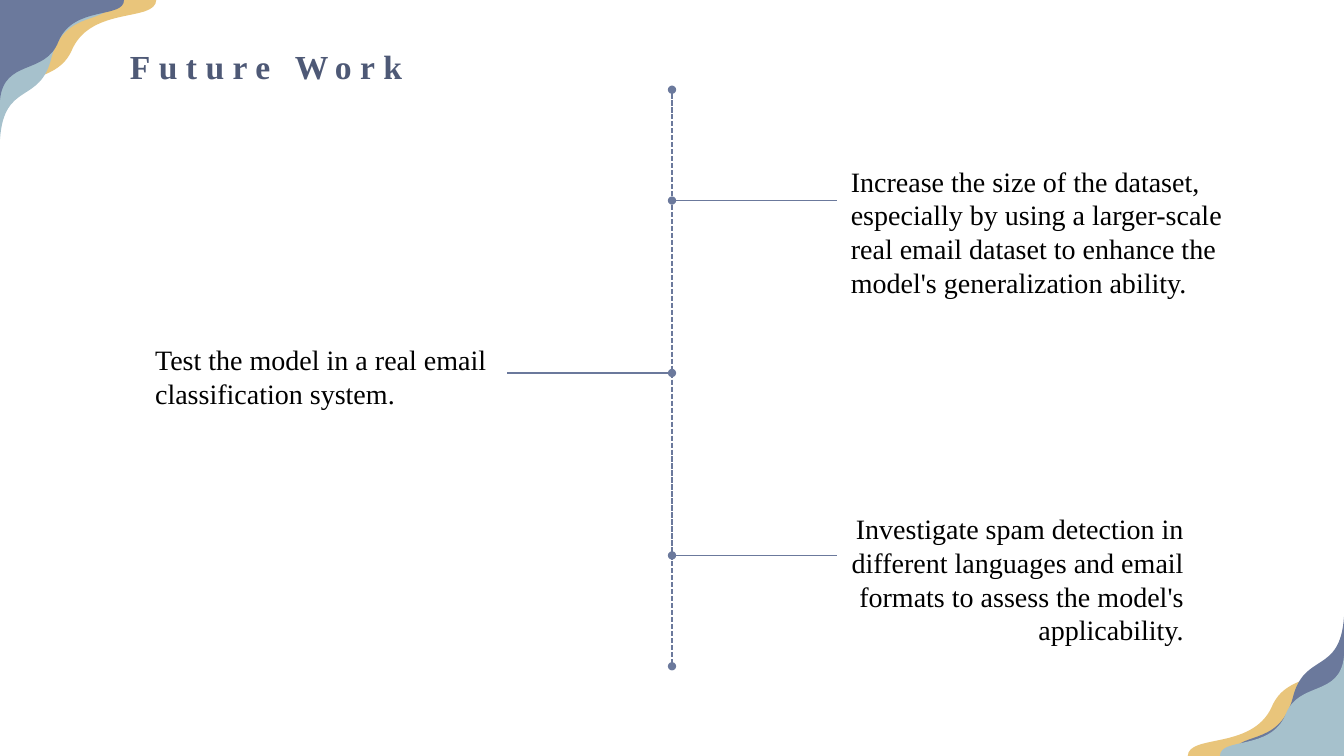
import dataclasses
import typing

import lxml.etree
import pptx
import pptx.dml.color
import pptx.enum.dml
import pptx.enum.shapes
import pptx.enum.text
import pptx.oxml.ns
import pptx.util

Inches = pptx.util.Inches
qn = pptx.oxml.ns.qn
Align = pptx.enum.text.PP_ALIGN
Point = tuple[float, float]

WIDTH, HEIGHT = 13.33, 7.5
AXIS = WIDTH / 2
REACH = 1.64
FONT = "Times New Roman"
SLATE, MIST, SAND = "6B799C", "A6C1CC", "E9C57B"
INK, BLACK = "4E5976", "000000"


@dataclasses.dataclass
class Line:
    start: Point
    end: Point
    dashed: bool = False
    ends: tuple[str, ...] = ("a:headEnd",)


@dataclasses.dataclass
class Label:
    text: str
    box: tuple[float, float, float, float]
    size: int = 20
    color: str = BLACK
    bold: bool = False
    align: typing.Any = Align.LEFT
    gap: int = 0


@dataclasses.dataclass
class Wave:
    waist: Point
    left: tuple[Point, Point, Point]
    right: tuple[Point, Point, Point]


LINES = [
    Line((AXIS, 0.89), (AXIS, 6.61), True, ("a:headEnd", "a:tailEnd")),
    Line((AXIS, 1.99), (AXIS + REACH, 1.99)),
    Line((AXIS, 3.7), (AXIS - REACH, 3.7)),
    Line((AXIS, 5.51), (AXIS + REACH, 5.51)),
]

LABELS = [
    Label("Increase the size of the dataset, especially by using a larger-scale "
          "real email dataset to enhance the model's generalization ability.",
          (8.34, 1.58, 4.22, 1.45)),
    Label("Test the model in a real email classification system.",
          (1.44, 3.35, 3.77, 0.77)),
    Label("Investigate spam detection in different languages and email formats "
          "to assess the model's applicability.",
          (7.96, 5.03, 3.88, 1.45), align=Align.RIGHT),
]

TITLE = Label("Future Work", (1.19, 0.41, 3.61, 0.5), 24, INK, True, gap=6)

WAVES = [
    Wave((0.72, 0.48), ((0.56, 0.88), (0.06, 0.67), (0, 1.16)),
         ((1.55, 0), (1.54, 0.22), (0.92, 0.06))),
    Wave((0.51, 0.57), ((0.4, 1.04), (0.04, 0.8), (0, 1.38)),
         ((1.1, 0), (1.09, 0.26), (0.65, 0.07))),
    Wave((0.58, 0.41), ((0.45, 0.75), (0.04, 0.58), (0, 0.99)),
         ((1.23, 0), (1.23, 0.19), (0.73, 0.05))),
]


def rgb(code: str) -> pptx.dml.color.RGBColor:
    return pptx.dml.color.RGBColor.from_string(code)


def bend(shape: typing.Any, firsts: tuple[int, ...]) -> None:
    legs = list(shape._element.iter(qn("a:lnTo")))
    for first in firsts:
        trio = legs[first:first + 3]
        cubic = lxml.etree.Element(qn("a:cubicBezTo"))
        trio[0].addprevious(cubic)
        for leg in trio:
            cubic.append(leg[0])
            leg.getparent().remove(leg)


def draw_line(slide: typing.Any, line: Line) -> None:
    shape = slide.shapes.add_connector(
        pptx.enum.shapes.MSO_CONNECTOR.STRAIGHT,
        *map(Inches, line.start + line.end))
    shape.line.color.rgb = rgb(SLATE)
    shape.line.width = pptx.util.Pt(1.25)
    if line.dashed:
        shape.line.dash_style = pptx.enum.dml.MSO_LINE.SQUARE_DOT
    props = shape._element.spPr
    for end in line.ends:
        lxml.etree.SubElement(props.find(qn("a:ln")), qn(end), type="oval")
    lxml.etree.SubElement(props, qn("a:effectLst"))


def draw_label(slide: typing.Any, label: Label) -> None:
    frame = slide.shapes.add_textbox(*map(Inches, label.box)).text_frame
    frame.word_wrap = True
    frame.auto_size = pptx.enum.text.MSO_AUTO_SIZE.SHAPE_TO_FIT_TEXT
    para = frame.paragraphs[0]
    para.alignment = label.align
    para.font.name = FONT
    para.font.size = pptx.util.Pt(label.size)
    para.font.bold = label.bold
    para.font.color.rgb = rgb(label.color)
    run = para.add_run()
    run.text = label.text
    if label.gap:
        run.font._element.set("spc", str(label.gap * 100))


def draw_corner(slide: typing.Any, colors: tuple[str, ...], turned: bool) -> None:
    group = slide.shapes.add_group_shape()
    for wave, color in zip(WAVES, colors):
        wide, tall = wave.right[0][0], wave.left[2][1]
        points = [wave.waist, *wave.left, (0, 0), *wave.right, wave.waist]
        if turned:
            points = [(WIDTH - wide + x, HEIGHT - tall + y) for x, y in points]
        else:
            points = [(wide - x, tall - y) for x, y in points]
        spots = [(Inches(x), Inches(y)) for x, y in points]
        pen = group.shapes.build_freeform(*spots[0])
        pen.add_line_segments(spots[1:])
        shape = pen.convert_to_shape()
        bend(shape, (0, 5))
        shape.rotation = 180
        shape.shadow.inherit = False
        shape.fill.solid()
        shape.fill.fore_color.rgb = rgb(color)
        shape.line.fill.background()


def main() -> None:
    deck = pptx.Presentation()
    deck.slide_width, deck.slide_height = Inches(WIDTH), Inches(HEIGHT)
    slide = deck.slides.add_slide(deck.slide_layouts[6])
    for line in LINES:
        draw_line(slide, line)
    for label in LABELS:
        draw_label(slide, label)
    draw_corner(slide, (SAND, MIST, SLATE), False)
    draw_corner(slide, (SAND, SLATE, MIST), True)
    draw_label(slide, TITLE)
    deck.save("out.pptx")


if __name__ == "__main__":
    main()
